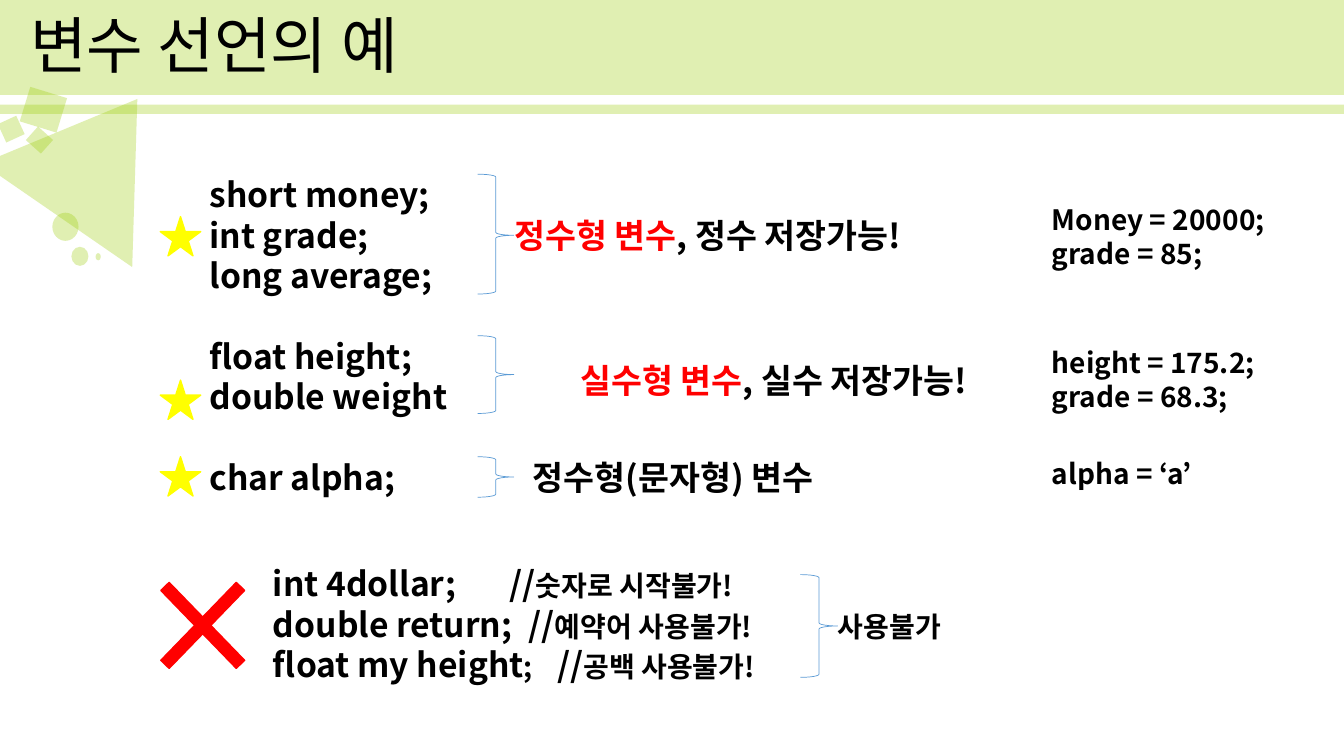
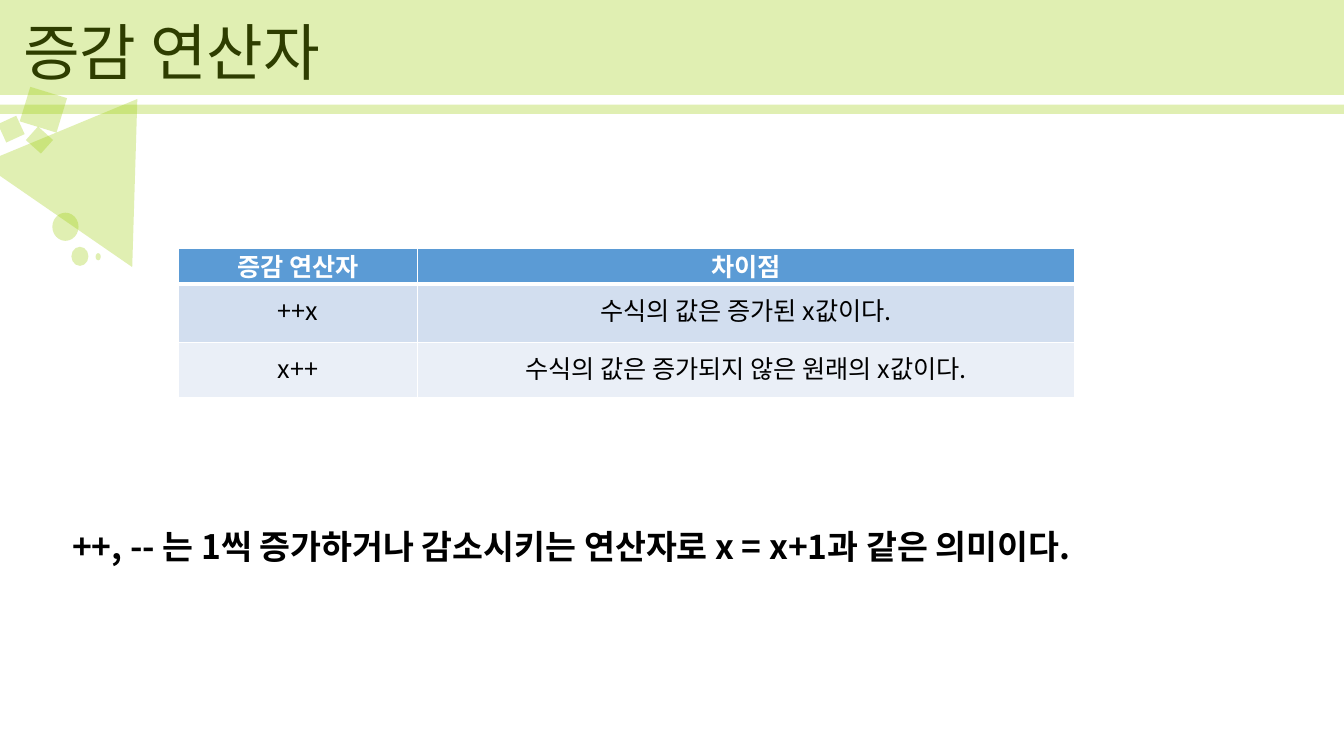
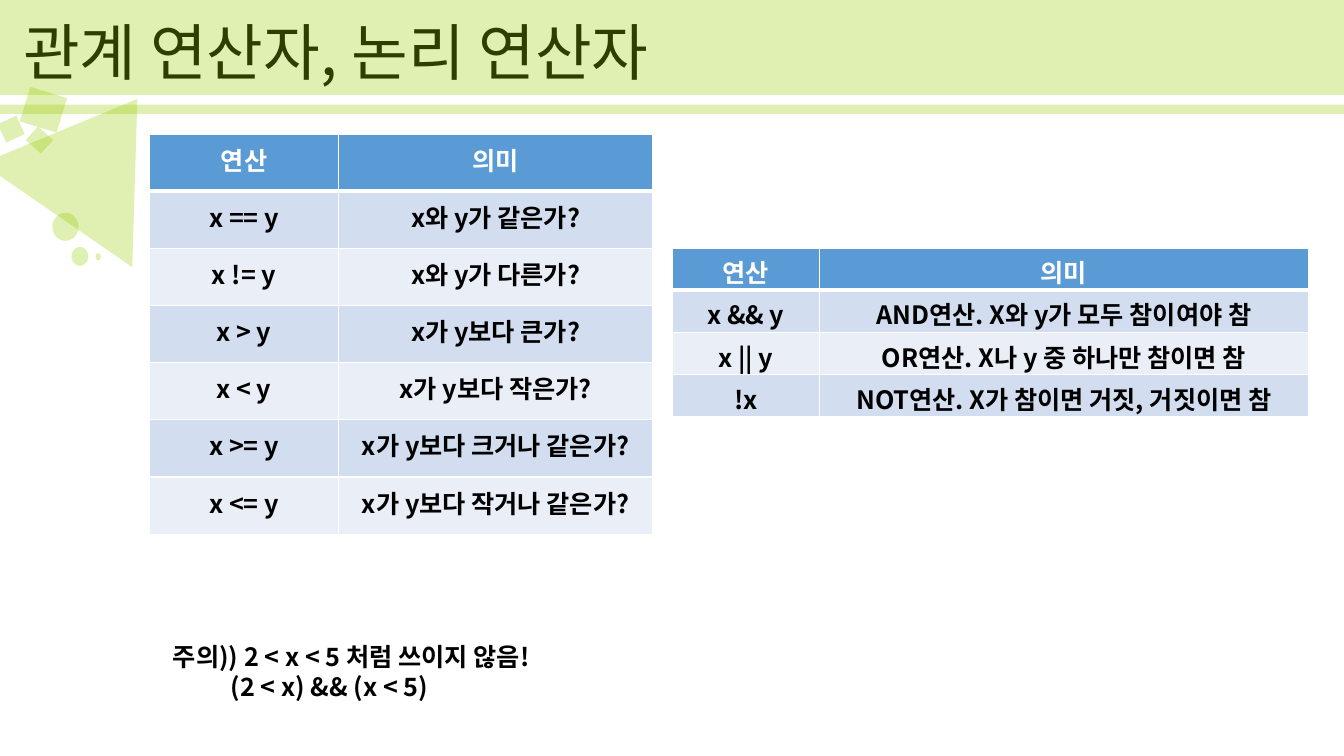
from dataclasses import dataclass

from lxml import etree
from pptx import Presentation
from pptx import util as u
from pptx.dml.color import RGBColor
from pptx.enum import shapes, text
from pptx.oxml.ns import qn

Cm, Pt = u.Cm, u.Pt
SHAPE = shapes.MSO_SHAPE
BLACK, WHITE, RED, YELLOW = "000000", "FFFFFF", "FF0000", "FFFF00"
GREEN, BLUE, BAND_DARK, BAND_LIGHT = "99CC00", "5B9BD5", "D2DEEF", "EAEFF7"
WIDTH, HEIGHT = 33.87, 19.05

# Kind, left, top, width, height, rotation
DECORATION = [
    (SHAPE.RECTANGLE, 0, 0, WIDTH, 2.39, 0),
    (SHAPE.RECTANGLE, 0, 2.64, WIDTH, 0.23, 0),
    (SHAPE.ISOSCELES_TRIANGLE, 0.15, 2.18, 4.6, 3.56, 34.6),
    (SHAPE.RECTANGLE, 0.61, 2.31, 0.97, 0.91, 17.1),
    (SHAPE.RECTANGLE, 0.74, 3.3, 0.51, 0.46, 41.8),
    (SHAPE.RECTANGLE, 0.03, 3, 0.51, 0.51, 335.3),
    (SHAPE.OVAL, 2.41, 6.38, 0.13, 0.18, 0),
    (SHAPE.OVAL, 1.8, 6.22, 0.43, 0.48, 0),
    (SHAPE.OVAL, 1.32, 5.36, 0.66, 0.71, 0),
]


def rgb(value):
    return RGBColor.from_string(value)


@dataclass
class Line:
    """A paragraph; each run is (text, colour, size), None keeping the default."""
    runs: list
    tabs: tuple = ()
    before: float = 0


class Deck:
    font = "Noto Sans CJK KR"
    leading = 1.2

    def __init__(self):
        self.prs = Presentation()
        self.prs.slide_width, self.prs.slide_height = Cm(WIDTH), Cm(HEIGHT)
        self.s = None

    def slide(self, title, left=0.33, top=-0.43, title_in_front=False):
        self.s = self.prs.slides.add_slide(self.prs.slide_layouts[5])
        sp = self.s.shapes.title
        sp.left, sp.top, sp.width, sp.height = Cm(left), Cm(top), Cm(29.21), Cm(3.68)
        tf = sp.text_frame
        tf.text = title
        tf.vertical_anchor = text.MSO_ANCHOR.MIDDLE
        p = tf.paragraphs[0]
        p.alignment = text.PP_ALIGN.LEFT
        p.line_spacing = 0.9
        self.style(p, 44, BLACK, False)
        for kind, x, y, w, h, angle in DECORATION:
            self.shape(kind, x, y, w, h, fill=GREEN, alpha=30, angle=angle)
        if title_in_front:
            self.s.shapes.element.append(sp.element)

    def style(self, p, size, colour, bold):
        f = p.font
        f.size, f.bold, f.name = Pt(size), bold, self.font
        f.color.rgb = rgb(colour)
        latin = p._p.pPr.find(qn("a:defRPr")).find(qn("a:latin"))
        ea = etree.Element(qn("a:ea"), typeface=self.font)
        latin.addnext(ea)

    def shape(self, kind, x, y, w, h, fill=None, line=None, line_width=1,
              alpha=None, angle=0, adjust=()):
        sp = self.s.shapes.add_shape(kind, Cm(x), Cm(y), Cm(w), Cm(h))
        sp.shadow.inherit = False
        sp.rotation = angle
        for i, value in enumerate(adjust):
            sp.adjustments[i] = value
        if fill:
            sp.fill.solid()
            sp.fill.fore_color.rgb = rgb(fill)
        else:
            sp.fill.background()
        if alpha:
            colour = sp.element.spPr.find(qn("a:solidFill"))[0]
            etree.SubElement(colour, qn("a:alpha"), val=str(alpha * 1000))
        if line:
            sp.line.color.rgb = rgb(line)
            sp.line.width = Pt(line_width)
        else:
            sp.line.fill.background()

    def brace(self, x, y, w, h, adjust=()):
        self.shape(SHAPE.RIGHT_BRACE, x, y, w, h, line=BLUE, line_width=0.5, adjust=adjust)

    def text(self, x, y, w, h, lines, size=24):
        """Bold text box; a line is a string or a Line."""
        tf = self.s.shapes.add_textbox(Cm(x), Cm(y), Cm(w), Cm(h)).text_frame
        tf.word_wrap = True
        for i, line in enumerate(lines):
            if isinstance(line, str):
                line = Line([(line, None, None)])
            p = tf.paragraphs[0] if i == 0 else tf.add_paragraph()
            if line.tabs:
                stops = etree.SubElement(p._p.get_or_add_pPr(), qn("a:tabLst"))
                for stop in line.tabs:
                    etree.SubElement(stops, qn("a:tab"), pos=str(Cm(stop)), algn="l")
            p.line_spacing = Pt(size * self.leading)
            p.space_before = Pt(line.before)
            self.style(p, size, BLACK, True)
            for content, colour, run_size in line.runs:
                r = p.add_run()
                r.text = content
                if colour:
                    r.font.color.rgb = rgb(colour)
                if run_size:
                    r.font.size = Pt(run_size)

    def table(self, x, y, widths, heights, rows, bold=True):
        tbl = self.s.shapes.add_table(len(rows), len(widths), Cm(x), Cm(y),
                                      Cm(sum(widths)), Cm(sum(heights))).table
        for column, w in zip(tbl.columns, widths):
            column.width = Cm(w)
        for i, (h, row) in enumerate(zip(heights, rows)):
            tbl.rows[i].height = Cm(h)
            for j, content in enumerate(row):
                self.cell(tbl.cell(i, j), content, i, h, bold)

    def cell(self, cell, content, row, height, bold):
        size, header = 18, row == 0
        leading = Pt(size * self.leading)
        cell.margin_left = cell.margin_right = Cm(0.15)
        cell.margin_top = min(Cm(0.33), Cm(height) - leading)
        cell.margin_bottom = 0
        for side in "LRTB":
            thick = (row, side) in ((0, "B"), (1, "T"))
            ln = etree.SubElement(cell._tc.get_or_add_tcPr(), qn("a:ln" + side),
                                  w=str(Pt(3 if thick else 1)))
            fill = etree.SubElement(ln, qn("a:solidFill"))
            etree.SubElement(fill, qn("a:srgbClr"), val=WHITE)
        cell.fill.solid()
        cell.fill.fore_color.rgb = rgb(
            BLUE if header else BAND_DARK if row % 2 else BAND_LIGHT)
        cell.text = content
        p = cell.text_frame.paragraphs[0]
        p.alignment = text.PP_ALIGN.CENTER
        p.line_spacing = leading
        self.style(p, size, WHITE if header else BLACK, header or bold)


def declarations(d):
    d.slide("변수 선언의 예", 0.51, -0.61, title_in_front=True)
    gap = 24 * d.leading
    d.text(5.03, 4.27, 22.58, 8.46, [
        "short money;",
        Line([("int grade;\t", None, None), ("정수형 변수", RED, None),
              (", 정수 저장가능!", None, None)], (7.69,)),
        "long average;",
        Line([("float height;", None, None)], before=gap),
        "double weight",
        Line([("char alpha;\t정수형(문자형) 변수", None, None)], (8.15,), gap),
    ])
    d.text(14.38, 8.94, 11.89, 1.27, [
        Line([("실수형 변수", RED, None), (", 실수 저장가능!", None, None)])])
    d.brace(12.04, 4.39, 0.91, 3.02, (0.08, 0.51))
    d.brace(12.04, 8.46, 0.91, 1.96)
    d.brace(12.04, 11.51, 0.91, 1.02)
    for y, lines in ((4.98, ["Money = 20000;", "grade = 85;"]),
                     (8.59, ["height = 175.2;", "grade = 68.3;"]),
                     (11.38, ["alpha = ‘a’"])):
        d.text(26.26, y, 6.48, 0.25 + 0.85 * len(lines), lines, 20)
    for y in (5.46, 9.58, 11.51):
        d.shape(SHAPE.STAR_5_POINT, 4.04, y, 1.02, 0.99, YELLOW, YELLOW)

    d.text(6.63, 14.07, 20.98, 3.33, [
        Line([("int 4dollar;\t//", None, None), ("숫자로 시작불가!", None, 20)], (5.97,)),
        Line([("double return;\t//", None, None),
              ("예약어 사용불가!\t사용불가", None, 20)], (6.45, 14.23)),
        Line([("float my height", None, None), (";\t", None, 20),
              ("//", None, None), ("공백 사용불가!", None, 20)], (7.17,)),
    ])
    d.shape(SHAPE.MATH_MULTIPLY, 3.28, 13.87, 3.66, 3.78, RED, RED, adjust=(0.08,))
    d.brace(20.17, 14.48, 0.94, 2.59)


def increments(d):
    d.slide("증감 연산자")
    d.text(1.57, 13.13, 30.71, 1.27,
           ["++, -- 는 1씩 증가하거나 감소시키는 연산자로 x = x+1과 같은 의미이다."])
    d.table(4.5, 6.25, (6.02, 16.56), (0.91, 1.47, 1.4), [
        ("증감 연산자", "차이점"),
        ("++x", "수식의 값은 증가된 x값이다."),
        ("x++", "수식의 값은 증가되지 않은 원래의 x값이다."),
    ], bold=False)


def comparisons(d):
    d.slide("관계 연산자, 논리 연산자")
    head = ("연산", "의미")
    d.table(3.76, 3.38, (4.78, 7.9), [1.44] * 7, [
        head,
        ("x == y", "x와 y가 같은가?"),
        ("x != y", "x와 y가 다른가?"),
        ("x > y", "x가 y보다 큰가?"),
        ("x < y", "x가 y보다 작은가?"),
        ("x >= y", "x가 y보다 크거나 같은가?"),
        ("x <= y", "x가 y보다 작거나 같은가?"),
    ])
    d.text(4.11, 16.03, 11.96, 1.8, [
        "주의)) 2 < x < 5 처럼 쓰이지 않음!",
        Line([("\t(2 < x) && (x < 5)", None, None)], (1.46,)),
    ], 18)
    d.table(16.94, 6.25, (3.71, 12.32), [1.06] * 4, [
        head,
        ("x && y", "AND연산. X와 y가 모두 참이여야 참"),
        ("x || y", "OR연산. X나 y 중 하나만 참이면 참"),
        ("!x", "NOT연산. X가 참이면 거짓, 거짓이면 참"),
    ])


def main():
    d = Deck()
    declarations(d)
    increments(d)
    comparisons(d)
    d.prs.save("out.pptx")


if __name__ == "__main__":
    main()
